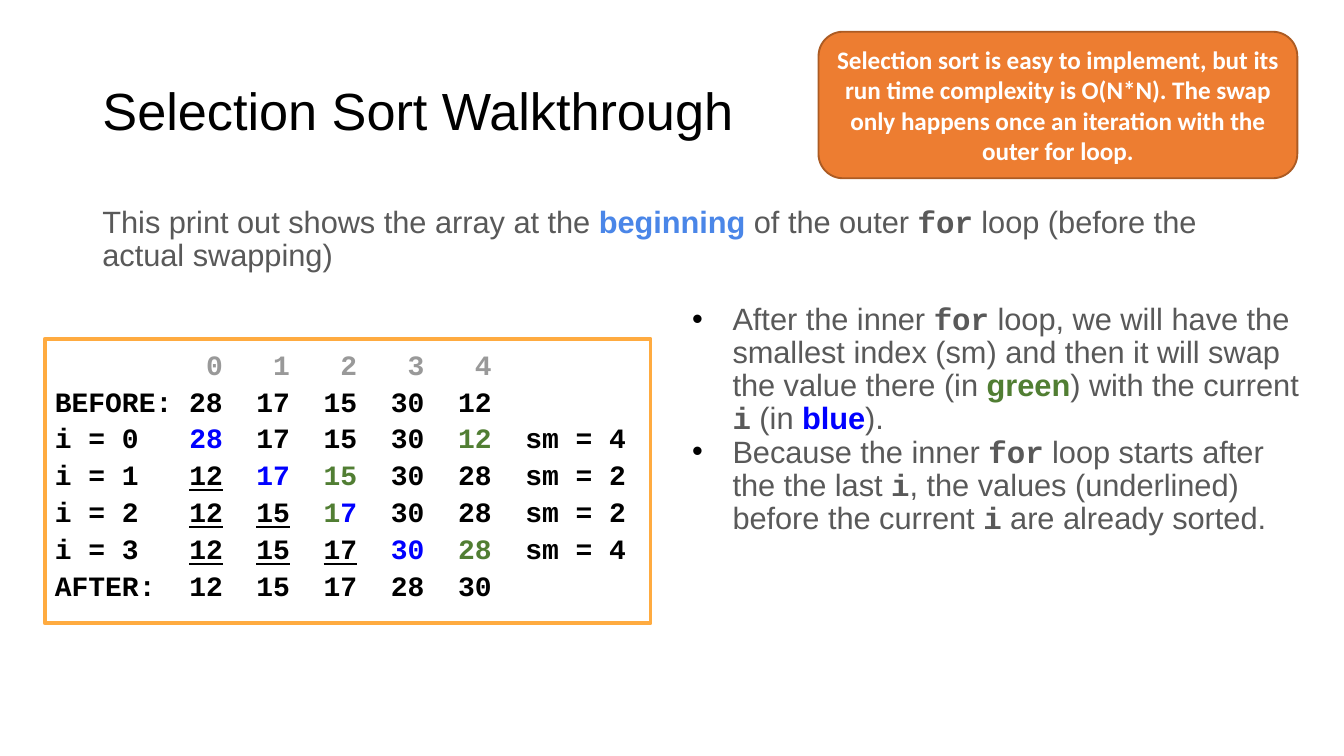
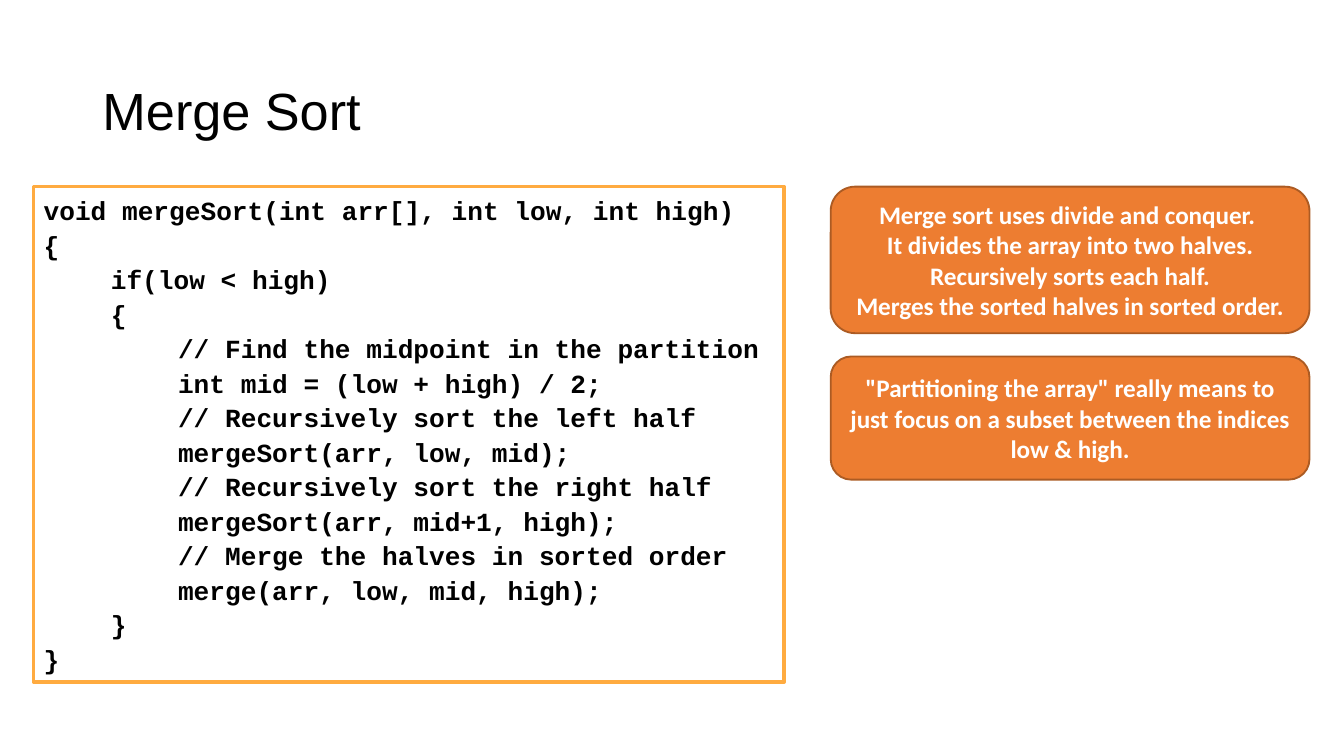
from dataclasses import dataclass

from lxml import etree
from pptx import Presentation
from pptx.dml.color import RGBColor
from pptx.enum import shapes, text
from pptx.oxml.ns import qn
from pptx.util import Pt

WALKTHROUGH_TITLE = "Selection Sort Walkthrough"
INTRO = [
    ["This print out shows the array at the ", ("beginning", "sky"), " of the outer ",
     ("for", "code"), " loop (before the actual swapping)"],
]
TRACE = [
    [("\t\t 0\t 1\t 2\t 3\t 4", "index")],
    ["BEFORE: 28\t17\t15\t30\t12"],
    ["i = 0\t", ("28", "blue"), "\t17\t15\t30\t", ("12", "green"), "\tsm = 4"],
    ["i = 1\t", ("12", "sorted"), "\t", ("17", "blue"), "\t", ("15", "green"), "\t30\t28\tsm = 2"],
    ["i = 2\t", ("12\t15", "sorted"), "\t", ("1", "green"), ("7", "blue"), "\t30\t28\tsm = 2"],
    ["i = 3\t", ("12\t15\t17", "sorted"), "\t", ("30", "blue"), "\t", ("28", "green"), "\tsm = 4"],
    ["AFTER: \t12\t15\t17\t28\t30"],
]
NOTES = [
    ["After the inner ", ("for", "code"),
     " loop, we will have the smallest index (sm) and then it will swap the value there (in ",
     ("green", "green"), ") with the current ", ("i", "code"), " (in ", ("blue", "blue"), ")."],
    ["Because the inner ", ("for", "code"), " loop starts after the the last ", ("i", "code"),
     ", the values (underlined) before the current ", ("i", "code"), " are already sorted."],
]
COMPLEXITY = [
    ["Selection sort is easy to implement, but its run time complexity is O(N*N). "
     "The swap only happens once an iteration with the outer for loop."],
]

MERGE_TITLE = "Merge Sort"
MERGE_CODE = [
    ["void mergeSort(int arr[], int low, int high)"],
    ["{"],
    ["\tif(low < high)"],
    ["\t{"],
    ["\t\t// Find the midpoint in the partition"],
    ["\t\tint mid = (low + high) / 2;"],
    ["\t\t// Recursively sort the left half"],
    ["\t\tmergeSort(arr, low, mid);"],
    ["\t\t// Recursively sort the right half"],
    ["\t\tmergeSort(arr, mid+1, high);"],
    ["\t\t// Merge the halves in sorted order"],
    ["\t\tmerge(arr, low, mid, high);"],
    ["\t}"],
    ["}"],
]
DIVIDE = [
    ["Merge sort uses divide and conquer. "],
    ["It divides the array into two halves."],
    ["Recursively sorts each half."],
    ["Merges the sorted halves in sorted order."],
]
PARTITION = [
    ["\"Partitioning the array\" really means to just focus on a subset "
     "between the indices low & high."],
]


@dataclass(frozen=True)
class Theme:
    black: str = "000000"
    white: str = "FFFFFF"
    grey: str = "595959"
    index: str = "999999"
    sky: str = "4A86E8"
    blue: str = "0000FF"
    green: str = "517E33"
    frame: str = "FFAB40"
    callout: str = "ED7D31"
    callout_edge: str = "AC5B23"
    sans: str = "Arial"
    mono: str = "Courier New"
    label: str = "Calibri"
    title_size: float = 28
    body_size: float = 16.5
    trace_size: float = 15
    code_size: float = 14
    callout_size: float = 13.5


THEME = Theme()
STYLES = {
    "code": {"name": THEME.mono, "bold": True},
    "sorted": {"underline": True},
    **{key: {"color": getattr(THEME, key), "bold": True}
       for key in ("index", "sky", "blue", "green")},
}
LEFT, CENTER = text.PP_ALIGN.LEFT, text.PP_ALIGN.CENTER
TOP, MIDDLE = text.MSO_ANCHOR.TOP, text.MSO_ANCHOR.MIDDLE
TAB_STEP, TAB_COUNT = 36, 8
CALLOUT_WIDTH = 256.5


def rgb(color):
    return RGBColor.from_string(color)


def write(frame, paragraphs, name, size, color, bold=False, align=LEFT, anchor=TOP, spacing=1.0):
    frame.word_wrap = True
    frame.auto_size = text.MSO_AUTO_SIZE.NONE
    frame.vertical_anchor = anchor
    frame.margin_left = frame.margin_right = Pt(5.4)
    frame.margin_top = frame.margin_bottom = Pt(2.7)
    for number, parts in enumerate(paragraphs):
        para = frame.paragraphs[0] if number == 0 else frame.add_paragraph()
        para.alignment = align
        para.line_spacing = spacing
        for part in parts:
            words, style = (part, None) if isinstance(part, str) else part
            look = {"name": name, "color": color, "bold": bold, **STYLES.get(style, {})}
            span = para.add_run()
            span.text = words
            span.font.size = Pt(size)
            span.font.name = look["name"]
            span.font.bold = look["bold"]
            span.font.underline = look.get("underline")
            span.font.color.rgb = rgb(look["color"])


def add_title(deck, words):
    page = deck.slides.add_slide(deck.slide_layouts[5])
    title = page.shapes.title
    title.left, title.top, title.width, title.height = map(Pt, (49.5, 21.6, 621, 78.4))
    write(title.text_frame, [[words]], THEME.sans, THEME.title_size, THEME.black,
          anchor=MIDDLE, spacing=0.9)
    return page


def add_body(page, place, paragraphs, bullets=False):
    box = page.shapes.add_textbox(*map(Pt, place))
    write(box.text_frame, paragraphs, THEME.sans, THEME.body_size, THEME.grey, spacing=0.9)
    box.text_frame.paragraphs[0].space_before = Pt(7.5)
    if bullets:
        for para in box.text_frame.paragraphs:
            add_bullet(para)


def add_bullet(para):
    props = para._p.get_or_add_pPr()
    props.set("marL", str(Pt(27)))
    props.set("indent", str(Pt(-21.6)))
    color = etree.SubElement(props, qn("a:buClr"))
    etree.SubElement(color, qn("a:srgbClr"), val=THEME.black)
    etree.SubElement(props, qn("a:buFont"), typeface=THEME.sans)
    etree.SubElement(props, qn("a:buChar"), char="•")


def add_box(page, kind, place, fill, line, weight):
    box = page.shapes.add_shape(kind, *map(Pt, place))
    box.shadow.inherit = False
    box.fill.solid()
    box.fill.fore_color.rgb = rgb(fill)
    box.line.color.rgb = rgb(line)
    box.line.width = Pt(weight)
    return box


def add_code(page, place, lines, size):
    box = add_box(page, shapes.MSO_SHAPE.RECTANGLE, place, THEME.white, THEME.frame, 2)
    write(box.text_frame, lines, THEME.mono, size, THEME.black, bold=True, spacing=1.1)
    for para in box.text_frame.paragraphs:
        stops = etree.SubElement(para._p.get_or_add_pPr(), qn("a:tabLst"))
        for step in range(1, TAB_COUNT + 1):
            etree.SubElement(stops, qn("a:tab"), pos=str(Pt(step * TAB_STEP)), algn="l")


def add_callout(page, left, top, height, paragraphs):
    box = add_box(page, shapes.MSO_SHAPE.ROUNDED_RECTANGLE, (left, top, CALLOUT_WIDTH, height),
                  THEME.callout, THEME.callout_edge, 1)
    write(box.text_frame, paragraphs, THEME.label, THEME.callout_size, THEME.white,
          bold=True, align=CENTER, anchor=MIDDLE)


def main():
    deck = Presentation()
    deck.slide_width, deck.slide_height = Pt(720), Pt(405)

    page = add_title(deck, WALKTHROUGH_TITLE)
    add_body(page, (49.5, 108, 621, 70), INTRO)
    add_code(page, (24, 181.5, 324.5, 152.5), TRACE, THEME.trace_size)
    add_body(page, (360, 160, 342, 187), NOTES, bullets=True)
    add_callout(page, 438.5, 17, 78.5, COMPLEXITY)

    page = add_title(deck, MERGE_TITLE)
    add_code(page, (18, 100, 402, 265.5), MERGE_CODE, THEME.code_size)
    add_callout(page, 445, 100, 78.5, DIVIDE)
    add_callout(page, 445, 191, 66, PARTITION)

    deck.save("out.pptx")


if __name__ == "__main__":
    main()
